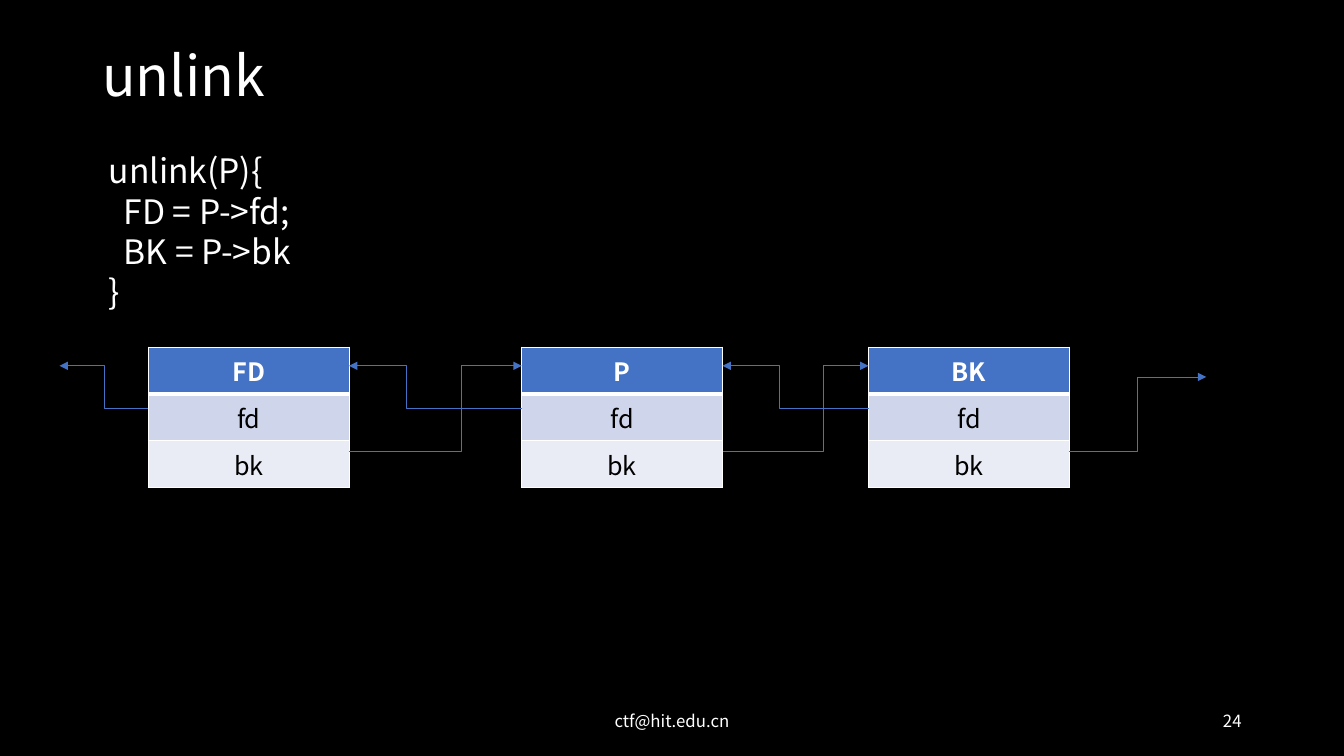
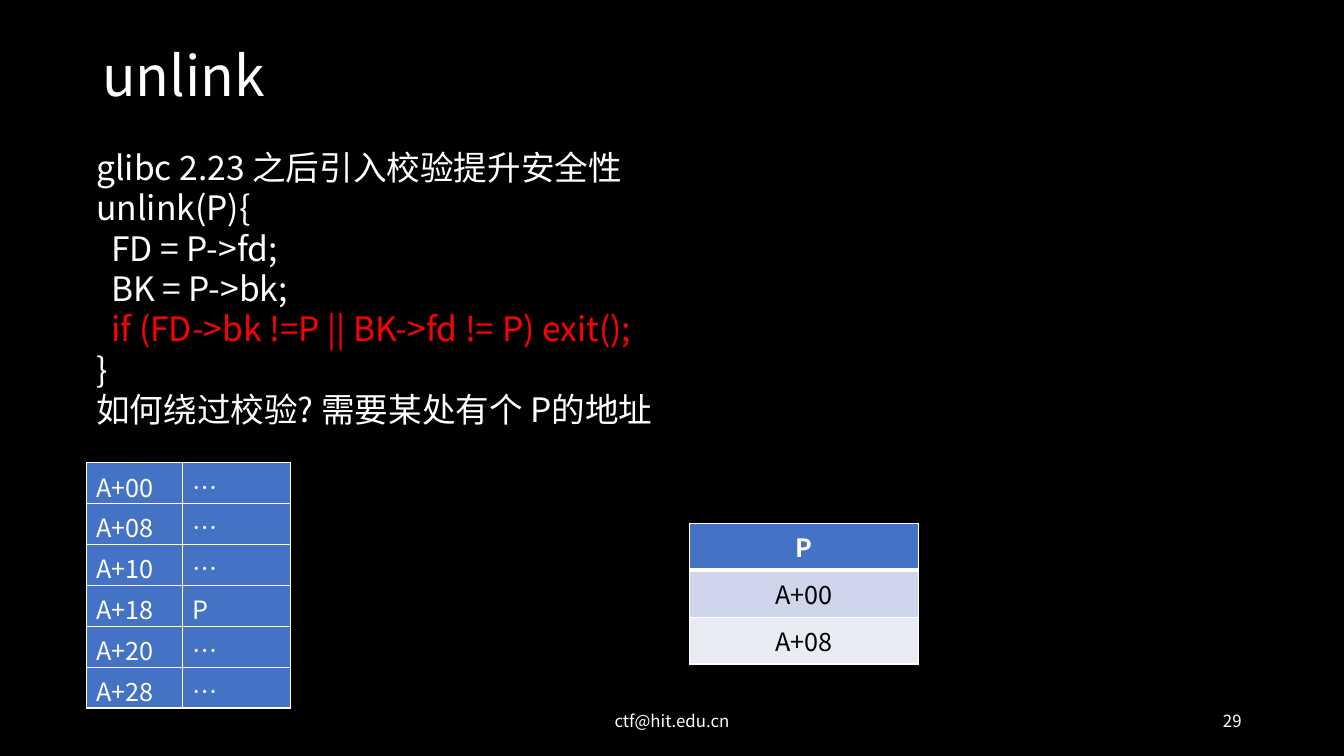
from dataclasses import dataclass

from lxml import etree
from pptx import Presentation
from pptx.dml.color import RGBColor
from pptx.enum import shapes, text
from pptx.oxml import ns
from pptx.util import Cm, Pt


@dataclass(frozen=True)
class Theme:
    font: str = "Noto Sans CJK SC"
    back: str = "000000"
    light: str = "FFFFFF"
    dark: str = "000000"
    accent: str = "4472C4"
    alert: str = "FF0000"
    bands: tuple = ("CFD5EA", "E9EBF5")
    title: float = 39.6
    code: float = 24
    cell: float = 18
    footer: float = 12
    hairline: float = 0.5
    border: float = 1
    header_rule: float = 3


THEME = Theme()
MAP_ROW = 1.03
CHUNK_ROW = 1.18
CHUNK_WIDTH = 5.06
LEFT, CENTER, RIGHT = text.PP_ALIGN.LEFT, text.PP_ALIGN.CENTER, text.PP_ALIGN.RIGHT


def sub(parent, tag, **attributes):
    return etree.SubElement(parent, ns.qn(tag), attributes)


def write(paragraph, words, size, color=THEME.light, bold=False, align=LEFT, spacing=None):
    paragraph.alignment = align
    if spacing:
        paragraph.line_spacing = spacing
    run = paragraph.add_run()
    run.text = words
    font = run.font
    font.size, font.bold, font.name = Pt(size), bold, THEME.font
    font.color.rgb = RGBColor.from_string(color)
    sub(font._element, "a:ea", typeface=THEME.font)


def text_frame(slide, box, anchor=text.MSO_ANCHOR.MIDDLE):
    frame = slide.shapes.add_textbox(*map(Cm, box)).text_frame
    frame.word_wrap = True
    frame.vertical_anchor = anchor
    return frame


def base_slide(deck, title, number):
    """Add a black slide with its title, footer and page number."""
    slide = deck.slides.add_slide(deck.slide_layouts[6])
    fill = slide.background.fill
    fill.solid()
    fill.fore_color.rgb = RGBColor.from_string(THEME.back)
    for words, box, size, align, spacing in (
        (title, (2.33, 1.02, 29.21, 1.9), THEME.title, LEFT, 0.9),
        ("ctf@hit.edu.cn", (11.22, 17.66, 11.43, 1.02), THEME.footer, CENTER, None),
        (str(number), (23.92, 17.66, 7.62, 1.02), THEME.footer, RIGHT, None),
    ):
        write(text_frame(slide, box).paragraphs[0], words, size, align=align, spacing=spacing)
    return slide


def code_block(slide, box, lines, alerts=()):
    """Write one paragraph a line; lines whose index is in alerts turn red."""
    frame = text_frame(slide, box, text.MSO_ANCHOR.TOP)
    for index, line in enumerate(lines):
        paragraph = frame.paragraphs[0] if index == 0 else frame.add_paragraph()
        write(paragraph, line, THEME.code, THEME.alert if index in alerts else THEME.light)


def style_cell(cell, color, top=THEME.border, bottom=THEME.border):
    cell.fill.solid()
    cell.fill.fore_color.rgb = RGBColor.from_string(color)
    properties = cell._tc.get_or_add_tcPr()
    edges = (("a:lnL", THEME.border), ("a:lnR", THEME.border), ("a:lnT", top), ("a:lnB", bottom))
    for position, (tag, width) in enumerate(edges):
        edge = sub(properties, tag, w=str(Pt(width)))
        sub(sub(edge, "a:solidFill"), "a:srgbClr", val=THEME.light)
        properties.insert(position, edge)


def plain_table(slide, left, top, widths, rows, height):
    table = slide.shapes.add_table(
        rows, len(widths), Cm(left), Cm(top), Cm(sum(widths)), Cm(height * rows)).table
    table.first_row = table.horz_banding = False
    for column, width in zip(table.columns, widths):
        column.width = Cm(width)
    for row in table.rows:
        row.height = Cm(height)
    return table


def chunk(slide, left, top, width, name, fields):
    """Draw a heap chunk: a header row above its banded fields."""
    table = plain_table(slide, left, top, [width], 1 + len(fields), CHUNK_ROW)
    header = table.cell(0, 0)
    style_cell(header, THEME.accent, bottom=THEME.header_rule)
    write(header.text_frame.paragraphs[0], name, THEME.cell, bold=True, align=CENTER)
    for index, field in enumerate(fields):
        cell = table.cell(index + 1, 0)
        style_cell(cell, THEME.bands[index % 2],
                   top=THEME.border if index else THEME.header_rule)
        write(cell.text_frame.paragraphs[0], field, THEME.cell, THEME.dark, align=CENTER)


def memory_map(slide, left, top, entries):
    table = plain_table(slide, left, top, [2.41, 2.74], len(entries), MAP_ROW)
    for row, entry in enumerate(entries):
        for column, words in enumerate(entry):
            cell = table.cell(row, column)
            style_cell(cell, THEME.accent)
            write(cell.text_frame.paragraphs[0], words, THEME.cell)


def pointer(slide, start, end, bend):
    """Draw an elbow arrow that turns at the given share of its width."""
    arrow = slide.shapes.add_connector(
        shapes.MSO_CONNECTOR.ELBOW, *map(Cm, start + end))
    arrow.line.width = Pt(THEME.hairline)
    arrow.line.color.rgb = RGBColor.from_string(THEME.accent)
    properties = arrow._element.spPr
    guides = properties.find(ns.qn("a:prstGeom")).find(ns.qn("a:avLst"))
    sub(guides, "a:gd", name="adj1", fmla=f"val {round(bend * 100000)}")
    sub(properties.find(ns.qn("a:ln")), "a:tailEnd", type="triangle")
    sub(properties, "a:effectLst")


def linked_list(slide, top, names, lefts, outer_left, outer_right):
    """Draw chunks whose fd points to the one before and bk to the one after."""
    for name, left in zip(names, lefts):
        chunk(slide, left, top, CHUNK_WIDTH, name, ("fd", "bk"))
    rights = [left + CHUNK_WIDTH for left in lefts]
    head, fd, bk = top + 0.47, top + 1.54, top + 2.62
    for left, target, bend in zip(lefts, [outer_left] + rights, (0.5, 0.67, 0.61)):
        pointer(slide, (left, fd), (target, head), bend)
    targets = [(left, head) for left in lefts[1:]] + [(outer_right, top + 0.75)]
    for right, target, bend in zip(rights, targets, (0.65, 0.69, 0.5)):
        pointer(slide, (right, bk), target, bend)


def list_slide(deck):
    slide = base_slide(deck, "unlink", 24)
    linked_list(slide, 8.75, ("FD", "P", "BK"), [3.74, 13.15, 21.89], 1.5, 30.4)
    code_block(slide, (2.49, 3.66, 12.57, 4.37),
               ("unlink(P){", "  FD = P->fd;", "  BK = P->bk", "}"))


def check_slide(deck):
    slide = base_slide(deck, "unlink", 29)
    chunk(slide, 17.37, 13.19, 5.77, "P", ("A+00", "A+08"))
    code_block(slide, (2.18, 3.58, 29.51, 7.44), (
        "glibc 2.23 之后引入校验提升安全性",
        "unlink(P){",
        "  FD = P->fd;",
        "  BK = P->bk;",
        "  if (FD->bk !=P || BK->fd != P) exit();",
        "}",
        "如何绕过校验? 需要某处有个 P的地址",
    ), alerts=(4,))
    memory_map(slide, 2.18, 11.66, [
        (f"A+{offset:02X}", "P" if offset == 0x18 else "…") for offset in range(0, 0x30, 8)])


def main():
    deck = Presentation()
    deck.slide_width, deck.slide_height = Cm(33.87), Cm(19.05)
    list_slide(deck)
    check_slide(deck)
    deck.save("out.pptx")


if __name__ == "__main__":
    main()
